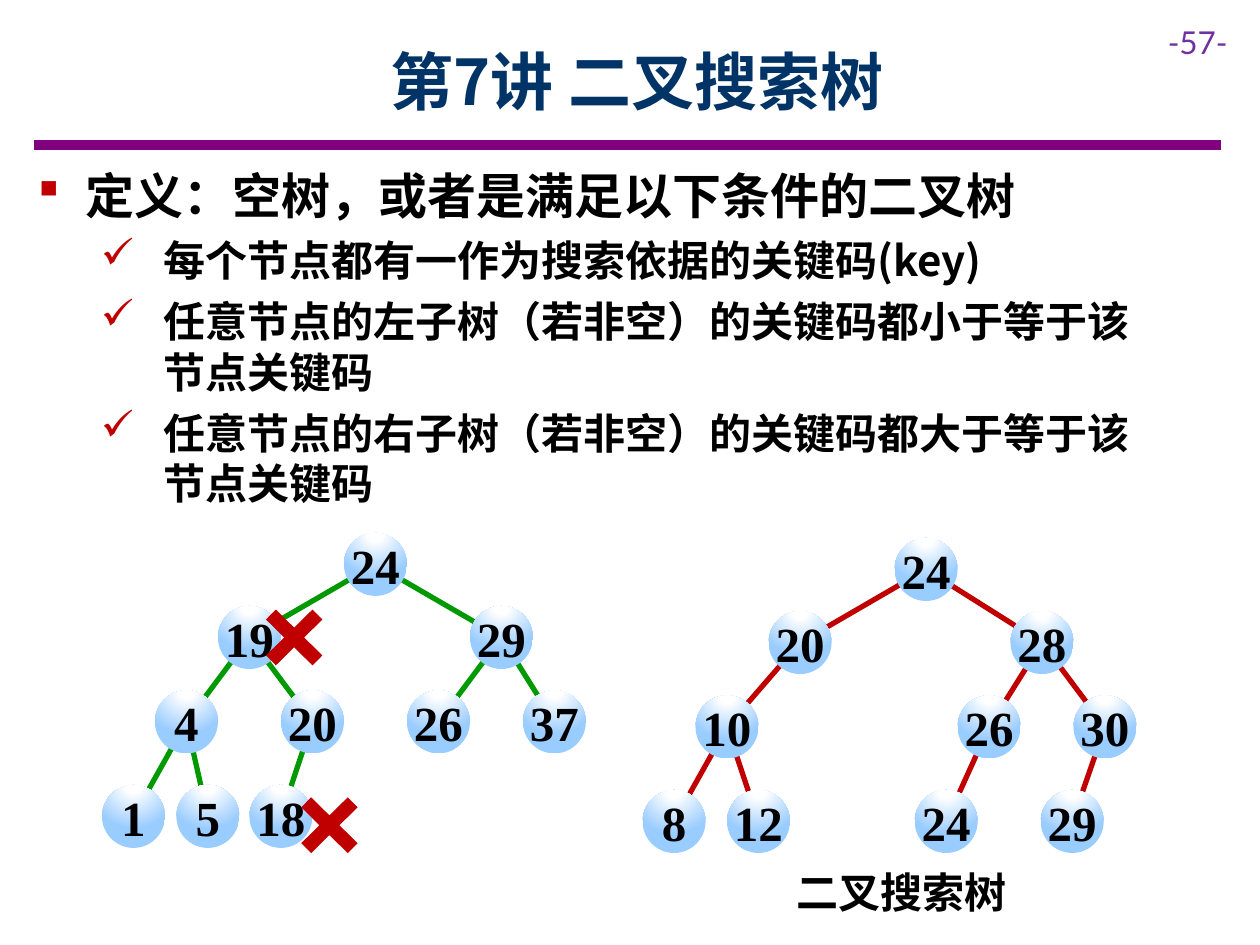
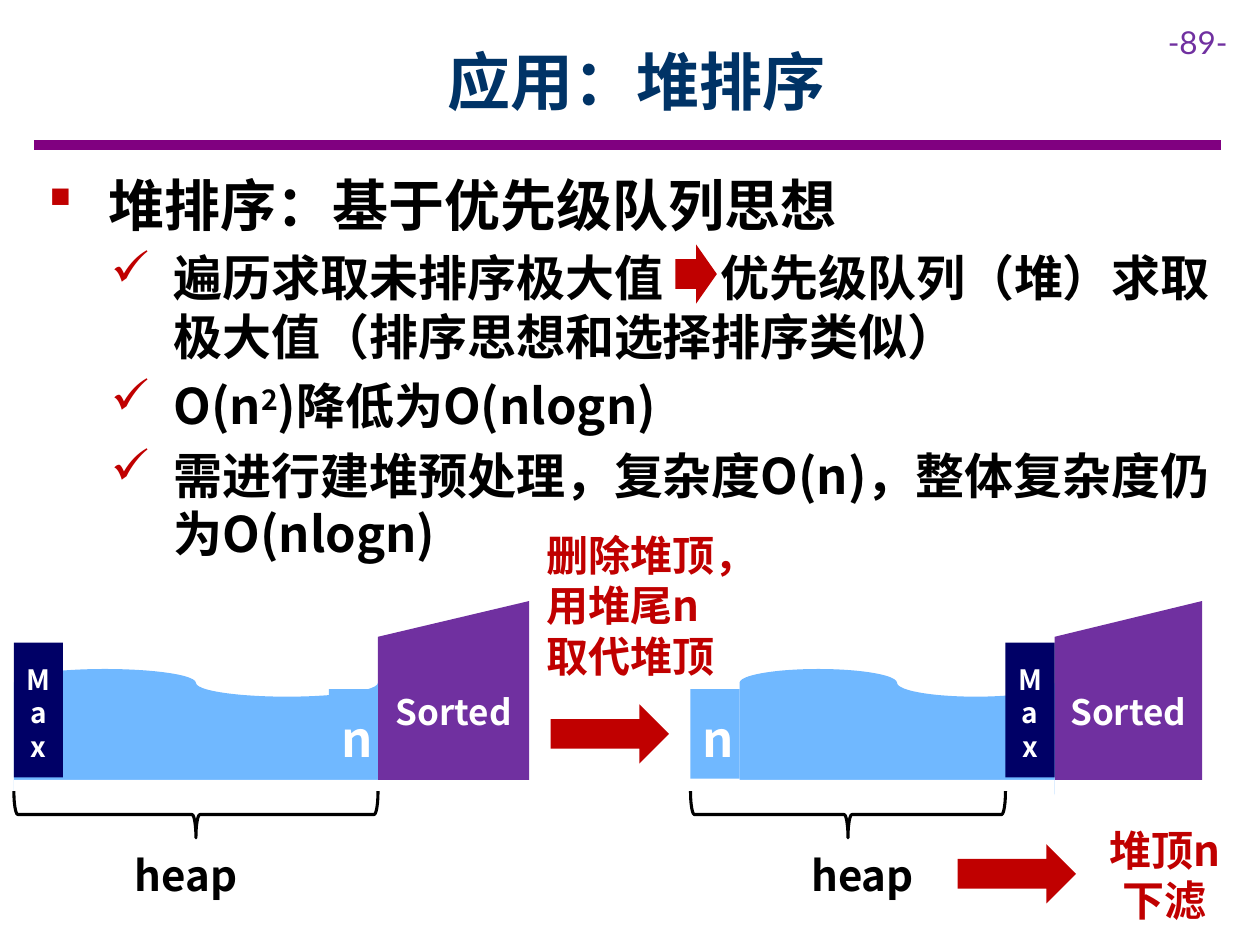
from dataclasses import dataclass

from lxml.etree import SubElement
from pptx import Presentation
from pptx.dml.color import RGBColor
from pptx.enum.shapes import MSO_CONNECTOR, MSO_SHAPE
from pptx.enum.text import MSO_ANCHOR, PP_ALIGN
from pptx.oxml import parse_xml
from pptx.oxml.ns import nsdecls, qn
from pptx.util import Emu, Inches, Pt

SLIDE_WIDTH, SLIDE_HEIGHT = Inches(10), Inches(7.5)
COLUMN, ROW = SLIDE_WIDTH / 10, SLIDE_HEIGHT / 7.5
SANS, LATIN, SERIF = "Noto Sans CJK SC", "Lato", "Times New Roman"
BLACK, WHITE, RED, NAVY = "000000", "FFFFFF", "C00000", "003366"
VIOLET, RULE, SKY, INDIGO, GREEN = "7030A0", "800080", "70B8FF", "000066", "009900"
NODE_SIZE = 0.5
LEVEL_ROWS = [0, 0.58, 1.25, 2]
LINE_FACTOR = 1.2
BASELINE_SHIFT = 0.09


@dataclass
class Box:
    left: float
    top: float
    width: float
    height: float

    def inner(self, left, top, width, height):
        return Box(self.left + left, self.top + top, width, height)

    def lengths(self):
        return (Emu(round(self.left * COLUMN)), Emu(round(self.top * ROW)),
                Emu(round(self.width * COLUMN)), Emu(round(self.height * ROW)))


def colour(value):
    return RGBColor.from_string(value)


def set_attributes(target, values):
    for name, value in values.items():
        setattr(target, name, value)


def add_run(paragraph, text, size, value=BLACK, face=SANS, bold=True):
    run = paragraph.add_run()
    run.text = text
    set_attributes(run.font, {"size": Pt(size), "bold": bold, "name": face})
    run.font.color.rgb = colour(value)
    SubElement(run.font._element, qn("a:ea")).set("typeface", face)
    return run


def prepare_frame(shape, size, face=SANS, side=0.1, anchor=MSO_ANCHOR.TOP, wrap=True):
    shift = size / 72 * BASELINE_SHIFT if face == SANS else 0
    set_attributes(shape.text_frame, {
        "word_wrap": wrap, "vertical_anchor": anchor,
        "margin_left": Inches(side), "margin_right": Inches(side),
        "margin_top": Inches(0.05 + shift), "margin_bottom": Inches(0.05 - shift)})
    return shape.text_frame


def write(shape, text, size, value=BLACK, face=SANS, bold=True,
          align=PP_ALIGN.LEFT, **frame_values):
    paragraph = prepare_frame(shape, size, face, **frame_values).paragraphs[0]
    paragraph.alignment = align
    if face == SANS:
        paragraph.line_spacing = Pt(size * LINE_FACTOR)
    add_run(paragraph, text, size, value, face, bold)


def add_text(slide, box, text, size, **values):
    write(slide.shapes.add_textbox(*box.lengths()), text, size, **values)


def add_shape(slide, kind, box, fill=None, flip=False):
    shape = slide.shapes.add_shape(kind, *box.lengths())
    shape.shadow.inherit = False
    shape.line.fill.background()
    if fill:
        shape.fill.solid()
        shape.fill.fore_color.rgb = colour(fill)
    else:
        shape.fill.background()
    if flip:
        shape._element.spPr.get_or_add_xfrm().set("flipH", "1")
    return shape


def add_line(slide, start, end, value, width):
    ends = [Emu(round(length * unit)) for point in (start, end)
            for length, unit in zip(point, (COLUMN, ROW))]
    line = slide.shapes.add_connector(MSO_CONNECTOR.STRAIGHT, *ends)
    line.line.color.rgb = colour(value)
    line.line.width = Pt(width)
    SubElement(line._element.spPr, qn("a:effectLst"))


def add_slide(presentation, title, number):
    slide = presentation.slides.add_slide(presentation.slide_layouts[6])
    add_line(slide, (0.27, 1.15), (9.69, 1.15), RULE, 6)
    add_text(slide, Box(9.17, 0.13, 0.83, 0.4), f"-{number}-", 18,
             value=VIOLET, face=LATIN, bold=False)
    add_text(slide, Box(0.9, 0.09, 8.31, 1), title, 36, value=NAVY,
             align=PP_ALIGN.CENTER, anchor=MSO_ANCHOR.MIDDLE)
    return slide


def set_bullet(paragraph, character, left, hanging):
    properties = paragraph._p.get_or_add_pPr()
    properties.set("marL", str(Inches(left)))
    properties.set("indent", str(-Inches(hanging)))
    bullet_colour = SubElement(properties, qn("a:buClr"))
    SubElement(bullet_colour, qn("a:srgbClr")).set("val", RED)
    SubElement(properties, qn("a:buFont")).set("typeface", "Wingdings")
    SubElement(properties, qn("a:buChar")).set("char", character)


def add_outline(slide, box, heading, points, heading_size, point_size, heading_indent):
    shape = slide.shapes.add_textbox(*box.lengths())
    frame = prepare_frame(shape, heading_size)
    for index, parts in enumerate([[heading], *points]):
        paragraph = frame.add_paragraph() if index else frame.paragraphs[0]
        size = point_size if index else heading_size
        if index:
            set_bullet(paragraph, "ü", 1, 0.5)
        else:
            set_bullet(paragraph, "§", heading_indent, heading_indent)
        set_attributes(paragraph, {"space_after": Pt(6),
                                   "line_spacing": Pt(size * LINE_FACTOR)})
        for part in parts:
            text, attributes = part if isinstance(part, tuple) else (part, {})
            run = add_run(paragraph, text, size)
            for name, value in attributes.items():
                run.font._element.set(name, value)


def add_node(slide, box, key):
    node = add_shape(slide, MSO_SHAPE.OVAL, box)
    properties = node._element.spPr
    stops = "".join(f'<a:gs pos="{place}"><a:srgbClr val="{value}"/></a:gs>'
                    for place, value in ((0, WHITE), (18000, WHITE), (100000, "99CCFF")))
    gradient = parse_xml(
        f'<a:gradFill {nsdecls("a")} rotWithShape="1"><a:gsLst>{stops}</a:gsLst>'
        '<a:path path="circle"><a:fillToRect l="50000" t="-80000" r="50000" b="180000"/>'
        '</a:path></a:gradFill>')
    properties.replace(properties.find(qn("a:noFill")), gradient)
    write(node, str(key), 28, face=SERIF, align=PP_ALIGN.CENTER, side=0,
          anchor=MSO_ANCHOR.MIDDLE, wrap=False)


def add_tree(slide, box, nodes, edge_colour):
    places = [box.inner(left, LEVEL_ROWS[level], NODE_SIZE, NODE_SIZE)
              for key, level, left, parent in nodes]
    centres = [(place.left + NODE_SIZE / 2, place.top + NODE_SIZE / 2) for place in places]
    for (key, level, left, parent), child in zip(nodes, centres):
        if parent is not None:
            start, end = [[a + (b - a) * share for a, b in zip(centres[parent], child)]
                          for share in (0.1, 0.85)]
            add_line(slide, start, end, edge_colour, 3)
    for node, place in zip(nodes, places):
        add_node(slide, place, node[0])


def add_cross(slide, box):
    add_shape(slide, MSO_SHAPE.MATH_MULTIPLY, box, RED).adjustments[0] = 0.159


def add_heap(slide, box, max_left, last_left, tape_left, brace_width):
    heap_width, cell, brace_depth = 2.89, 0.39, 0.37
    centred = {"value": WHITE, "align": PP_ALIGN.CENTER, "anchor": MSO_ANCHOR.MIDDLE}
    sorted_part = add_shape(slide, MSO_SHAPE.FLOWCHART_MANUAL_INPUT,
                            box.inner(heap_width, 0, box.width - heap_width, 1.42), VIOLET)
    write(sorted_part, "Sorted", 20, **centred)
    add_shape(slide, MSO_SHAPE.FLOWCHART_PUNCHED_TAPE,
              box.inner(tape_left, 0.54, heap_width - tape_left, 1.1), SKY, flip=True)
    add_shape(slide, MSO_SHAPE.RECTANGLE, box.inner(0, 1.42, heap_width, 0.41), WHITE)
    last = add_shape(slide, MSO_SHAPE.RECTANGLE, box.inner(last_left, 0.7, cell, 0.71), SKY)
    write(last, "n", 28, **centred)
    largest = add_shape(slide, MSO_SHAPE.RECTANGLE,
                        box.inner(max_left, 0.33, cell, 1.07), INDIGO)
    write(largest, "Max", 16, **centred)
    brace = add_shape(slide, MSO_SHAPE.RIGHT_BRACE, box.inner(
        (brace_width - brace_depth) / 2, 1.51 + (brace_depth - brace_width) / 2,
        brace_depth, brace_width))
    brace.rotation = 90
    brace.line.color.rgb = colour(BLACK)
    brace.line.width = Pt(1.75)
    add_text(slide, box.inner(0.86, 1.89, 1.03, 0.5), "heap", 24, wrap=False)


def build_search_tree(presentation):
    slide = add_slide(presentation, "第7讲 二叉搜索树", 57)
    add_outline(slide, Box(0.2, 1.23, 9.13, 2.84), "定义：空树，或者是满足以下条件的二叉树", [
        ["每个节点都有一作为搜索依据的关键码(key)"],
        ["任意节点的左子树（若非空）的关键码都小于等于该节点关键码"],
        ["任意节点的右子树（若非空）的关键码都大于等于该节点关键码"],
    ], 28, 24, 0.38)
    broken_box = Box(0.81, 4.23, 3.84, 2.5)
    add_tree(slide, broken_box, [
        (24, 0, 1.92, None), (19, 1, 0.92, 0), (29, 1, 2.92, 0),
        (4, 2, 0.42, 1), (20, 2, 1.42, 1), (26, 2, 2.42, 2), (37, 2, 3.34, 2),
        (1, 3, 0, 3), (5, 3, 0.59, 3), (18, 3, 1.17, 4)], GREEN)
    for left, top in ((1.17, 0.48), (1.45, 1.97)):
        add_cross(slide, broken_box.inner(left, top, 0.71, 0.7))
    valid_box = Box(5.1, 4.27, 3.92, 2.5)
    add_tree(slide, valid_box, [
        (24, 0, 2, None), (20, 1, 1, 0), (28, 1, 2.92, 0),
        (10, 2, 0.42, 1), (26, 2, 2.5, 2), (30, 2, 3.42, 2),
        (8, 3, 0, 3), (12, 3, 0.67, 3), (24, 3, 2.16, 4), (29, 3, 3.16, 5)], RED)
    add_text(slide, valid_box.inner(1.12, 2.53, 1.88, 0.5), "二叉搜索树", 24, wrap=False)


def build_heap_sort(presentation):
    slide = add_slide(presentation, "应用：堆排序", 89)
    add_outline(slide, Box(0.28, 1.26, 9.65, 3.25), "堆排序：基于优先级队列思想", [
        ["遍历求取未排序极大值", (" ", {"spc": "2650"}),
         "优先级队列（堆）求取极大值（排序思想和选择排序类似）"],
        ["O(n", ("2", {"baseline": "30000"}), ")降低为O(nlogn)"],
        ["需进行建堆预处理，复杂度O(n)，整体复杂度仍为O(nlogn)"],
    ], 32, 28, 0.48)
    add_heap(slide, Box(0.11, 4.77, 4.09, 2.39), max_left=0, last_left=2.5,
             tape_left=0, brace_width=2.89)
    add_heap(slide, Box(5.48, 4.77, 4.06, 2.39), max_left=2.5, last_left=0,
             tape_left=0.39, brace_width=2.5)
    for left, top, width in ((5.36, 1.94, 0.33), (4.37, 5.59, 0.94), (7.6, 6.7, 0.94)):
        add_shape(slide, MSO_SHAPE.RIGHT_ARROW, Box(left, top, width, 0.47), RED)
    add_text(slide, Box(4.24, 4.12, 1.69, 1.31), "删除堆顶，用堆尾n取代堆顶", 24, value=RED)
    add_text(slide, Box(8.6, 6.46, 1.29, 0.91), "堆顶n下滤", 24, value=RED,
             align=PP_ALIGN.CENTER)


def main():
    presentation = Presentation()
    set_attributes(presentation, {"slide_width": SLIDE_WIDTH, "slide_height": SLIDE_HEIGHT})
    build_search_tree(presentation)
    build_heap_sort(presentation)
    presentation.save("out.pptx")


if __name__ == "__main__":
    main()
